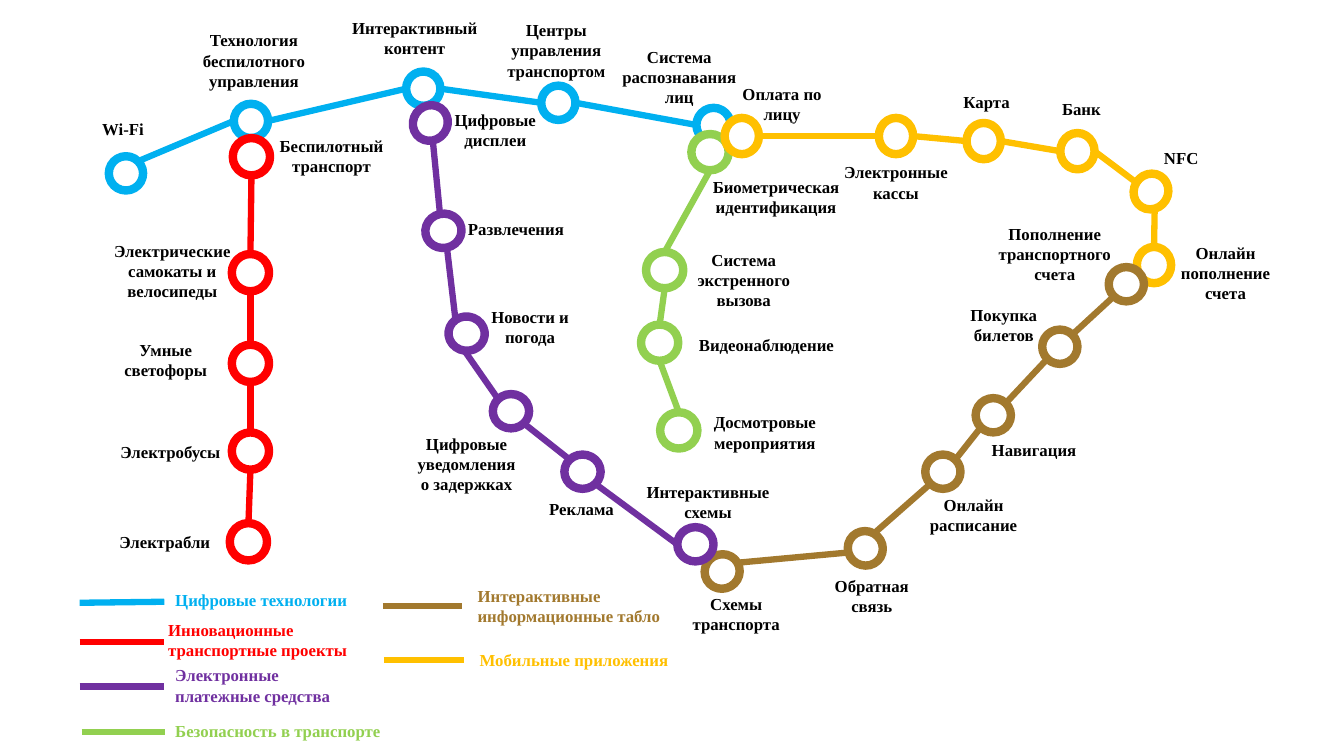
"""Build a metro-style map of digital transport services."""
from itertools import pairwise
from math import cos, radians, sin

from pptx import Presentation
from pptx.dml.color import RGBColor
from pptx.enum.shapes import MSO_CONNECTOR as Connector, MSO_SHAPE as Shape
from pptx.enum.text import MSO_AUTO_SIZE as AutoSize, PP_ALIGN as Align
from pptx.oxml.ns import qn
from pptx.util import Cm, Pt

FONT = "Times New Roman"
BLACK, WHITE = "000000", "FFFFFF"
BLUE, RED, GREEN = "00B0F0", "FF0000", "92D050"
YELLOW, BROWN, PURPLE = "FFC000", "A2792E", "7030A0"

COMPASS = ("E", "SE", "S", "SW", "W", "NW", "N", "NE")

# Colour, station width and height, stations (left, top, turn), exit and entry of each track
ROUTES = [
    (BLUE, 0.34, 0.34,
     [(1.08, 1.55, 0), (2.32, 1.03, 0), (4.03, 0.71, 0), (5.37, 0.85, 0), (6.91, 1.07, 0)],
     ["NE W", "E W", "E W", "E W"]),
    (RED, 0.37, 0.37,
     [(2.31, 1.37, 0), (2.3, 2.52, 0), (2.3, 3.42, 0), (2.3, 4.29, 0), (2.28, 5.19, 0)],
     ["S N"] * 4),
    (GREEN, 0.37, 0.36,
     [(6.86, 1.33, 0), (6.41, 2.5, 0), (6.36, 3.22, 0), (6.55, 4.09, 0)],
     ["S N"] * 3),
    (YELLOW, 0.34, 0.36,
     [(7.19, 1.17, 0), (8.72, 1.17, 0), (9.59, 1.22, 0), (10.52, 1.32, 0),
      (11.25, 1.72, 31.3), (11.28, 2.45, 0)],
     ["E W"] * 4 + ["SE N"]),
    (BROWN, 0.35, 0.34,
     [(11, 2.65, 0), (10.34, 3.27, 0), (9.68, 3.95, 0), (9.18, 4.51, 0),
      (8.41, 5.27, 30.3), (6.99, 5.5, 330.1)],
     ["SW NE"] * 3 + ["SW N", "SW E"]),
    (PURPLE, 0.36, 0.34,
     [(4.09, 1.05, 305.4), (4.22, 2.12, 348.3), (4.45, 3.14, 7.5), (4.89, 3.91, 0),
      (5.6, 4.51, 0), (6.72, 5.23, 0)],
     ["SW N", "S NW", "S NW", "SE NW", "SE W"]),
]

STATION_NAMES = [
    (6.06, 0.41, 1.36, 3, "Система распознавания лиц"),
    (0.48, 1.13, 1.48, 1, "Wi-Fi"),
    (1.86, 0.25, 1.32, 3, "Технология беспилотного управления"),
    (3.33, 0.13, 1.57, 2, "Интерактивный контент"),
    (4.93, 0.15, 1.18, 3, "Центры управления транспортом"),
    (1.08, 4.33, 1.22, 1, "Электробусы"),
    (1.01, 3.32, 1.27, 2, "Умные светофоры"),
    (1, 2.34, 1.42, 3, "Электрические самокаты и велосипеды"),
    (1.08, 5.23, 1.11, 1, "Электрабли"),
    (2.58, 1.3, 1.42, 2, "Беспилотный транспорт"),
    (6.75, 2.43, 1.26, 3, "Система экстренного вызова"),
    (6.96, 4.04, 1.26, 2, "Досмотровые мероприятия"),
    (6.82, 3.27, 1.57, 1, "Видеонаблюдение"),
    (6.89, 1.7, 1.62, 2, "Биометрическая идентификация"),
    (7.08, 0.78, 1.36, 2, "Оплата по лицу"),
    (9.16, 0.86, 1.26, 1, "Карта"),
    (11.09, 1.42, 1.26, 1, "NFC"),
    (10.1, 0.93, 1.26, 1, "Банк"),
    (8.26, 1.56, 1.26, 2, "Электронные кассы"),
    (11.53, 2.36, 1.26, 3, "Онлайн пополнение счета"),
    (9.77, 2.17, 1.39, 3, "Пополнение транспортного счета"),
    (9.33, 2.97, 1.26, 2, "Покупка билетов"),
    (9.63, 4.31, 1.26, 1, "Навигация"),
    (9.03, 4.86, 1.26, 2, "Онлайн расписание"),
    (8.02, 5.66, 1.26, 2, "Обратная связь"),
    (6.6, 5.84, 1.41, 2, "Схемы транспорта"),
    (6.3, 4.73, 1.45, 2, "Интерактивные схемы"),
    (5.14, 4.9, 1.26, 1, "Реклама"),
    (4, 4.25, 1.26, 3, "Цифровые уведомления о задержках"),
    (4.63, 2.99, 1.26, 2, "Новости и погода"),
    (4.49, 2.12, 1.26, 1, "Развлечения"),
    (4.38, 1.04, 1.07, 2, "Цифровые дисплеи"),
]

# Colour, sample line (start, end), caption (left, top, width, rows, text)
LEGEND = [
    (BLUE, (0.79, 5.98), (1.63, 5.97), (1.64, 5.8, 2.11, 1, "Цифровые технологии")),
    (RED, (0.79, 6.37), (1.63, 6.37), (1.57, 6.1, 2.11, 2, "Инновационные транспортные проекты")),
    (PURPLE, (0.79, 6.81), (1.63, 6.81), (1.64, 6.55, 1.97, 2, "Электронные платежные средства")),
    (GREEN, (0.81, 7.26), (1.64, 7.26), (1.64, 7.1, 2.42, 1, "Безопасность в транспорте")),
    (BROWN, (3.8, 6.01), (4.58, 6.01), (4.64, 5.76, 2.11, 2, "Интерактивные информационные табло")),
    (YELLOW, (3.81, 6.55), (4.6, 6.55), (4.66, 6.4, 2.11, 1, "Мобильные приложения")),
]


def size(inches):
    """Turn inches on the map into a length."""
    return Cm(inches * 2.54)


def paint(target, color):
    """Give a font, fill or line format a solid colour."""
    target.rgb = RGBColor.from_string(color)


def add_station(slide, station, width, height, color):
    """Draw a ring for one station."""
    left, top, turn = station
    ring = slide.shapes.add_shape(Shape.OVAL, size(left), size(top), size(width), size(height))
    ring.rotation = turn
    ring.shadow.inherit = False
    ring.fill.solid()
    paint(ring.fill.fore_color, WHITE)
    paint(ring.line.color, color)
    ring.line.width = Pt(6)


def add_track(slide, start, end, color):
    """Draw a straight piece of track."""
    ends = [size(value) for value in (*start, *end)]
    track = slide.shapes.add_connector(Connector.STRAIGHT, *ends)
    paint(track.line.color, color)
    track.line.width = Pt(4.5)
    properties = track._element.spPr
    properties.append(properties.makeelement(qn("a:effectLst"), {}))


def rim_point(station, width, height, side):
    """Find the point on a turned ring that faces a compass side."""
    left, top, turn = station
    angle, tilt = radians(45 * COMPASS.index(side)), radians(turn)
    across, down = width / 2 * cos(angle), height / 2 * sin(angle)
    return (left + width / 2 + across * cos(tilt) - down * sin(tilt),
            top + height / 2 + across * sin(tilt) + down * cos(tilt))


def add_route(slide, color, width, height, stations, sides):
    """Draw the stations of a route and the tracks between them."""
    for station in stations:
        add_station(slide, station, width, height, color)
    for (origin, target), track_sides in zip(pairwise(stations), sides):
        leave, arrive = track_sides.split()
        add_track(slide, rim_point(origin, width, height, leave),
                  rim_point(target, width, height, arrive), color)


def add_label(slide, left, top, width, rows, text, color=BLACK, align=Align.CENTER):
    """Write a bold caption that wraps in its box."""
    box = slide.shapes.add_textbox(size(left), size(top), size(width), size(0.1 + 0.2 * rows))
    frame = box.text_frame
    frame.word_wrap = True
    frame.auto_size = AutoSize.SHAPE_TO_FIT_TEXT
    frame.text = text
    caption = frame.paragraphs[0]
    caption.alignment = align
    font = caption.runs[0].font
    font.name, font.size, font.bold = FONT, Pt(12), True
    paint(font.color, color)


def main():
    """Build and save the map."""
    deck = Presentation()
    deck.slide_width, deck.slide_height = Cm(33.87), Cm(19.05)
    slide = deck.slides.add_slide(deck.slide_layouts[6])
    for route in ROUTES:
        add_route(slide, *route)
    for name in STATION_NAMES:
        add_label(slide, *name)
    for color, start, end, caption in LEGEND:
        add_track(slide, start, end, color)
        add_label(slide, *caption, color=color, align=Align.JUSTIFY)
    deck.save("out.pptx")


if __name__ == "__main__":
    main()
